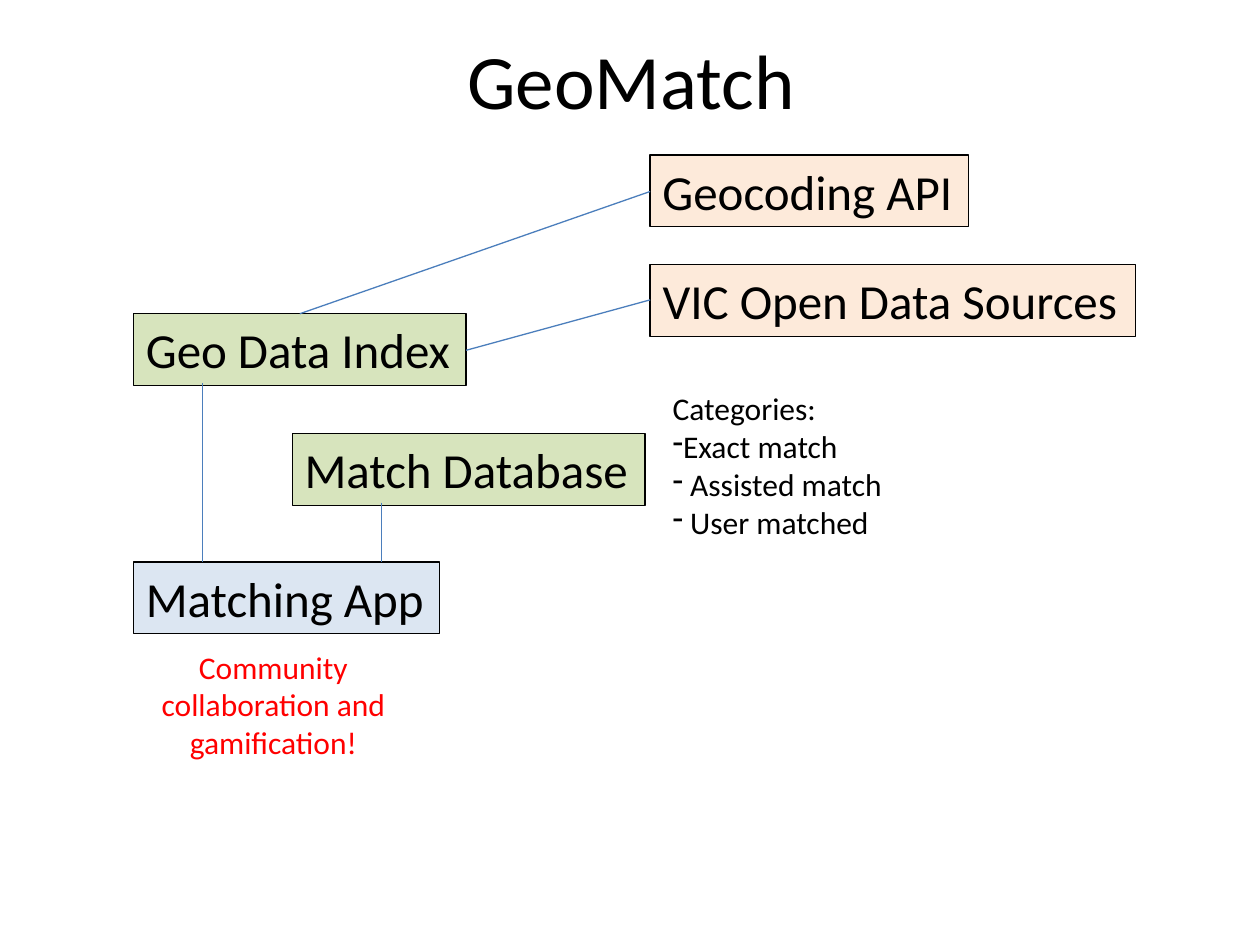
from lxml import etree
from pptx import Presentation
from pptx.dml.color import RGBColor
from pptx.enum.shapes import MSO_CONNECTOR, MSO_SHAPE
from pptx.enum.text import MSO_ANCHOR, MSO_AUTO_SIZE, PP_ALIGN
from pptx.oxml.ns import qn
from pptx.util import Inches, Pt

LEFT, CENTER = PP_ALIGN.LEFT, PP_ALIGN.CENTER
TOP, MIDDLE = MSO_ANCHOR.TOP, MSO_ANCHOR.MIDDLE
RECTANGLE = MSO_SHAPE.RECTANGLE
STRAIGHT = MSO_CONNECTOR.STRAIGHT
FIT_SHAPE = MSO_AUTO_SIZE.SHAPE_TO_FIT_TEXT

BLACK = RGBColor(0x00, 0x00, 0x00)
RED = RGBColor(0xFF, 0x00, 0x00)
BLUE = RGBColor(0x4B, 0x7E, 0xBC)
GREEN_FILL = RGBColor(0xD7, 0xE4, 0xBD)
ORANGE_FILL = RGBColor(0xFD, 0xEA, 0xDA)
BLUE_FILL = RGBColor(0xDC, 0xE6, 0xF2)


class DiagramPage:
    font = "Calibri"
    line_width = Pt(0.75)
    node_height = 0.57

    def __init__(self, page):
        self.page = page

    def style(self, para, size, color, align):
        para.alignment = align
        para.font.name = self.font
        para.font.size = Pt(size)
        para.font.color.rgb = color

    def text(self, left, top, width, height, lines, size=18,
             color=BLACK, align=LEFT, anchor=TOP):
        box = self.page.shapes.add_textbox(
            Inches(left), Inches(top), Inches(width), Inches(height))
        frame = box.text_frame
        frame.word_wrap = True
        frame.vertical_anchor = anchor
        frame.text = "\n".join(lines)
        for para in frame.paragraphs:
            self.style(para, size, color, align)
        return frame

    def dash_list(self, left, top, width, height, heading, items):
        frame = self.text(left, top, width, height, [heading, *items])
        for para in frame.paragraphs[1:]:
            properties = para._p.get_or_add_pPr()
            bullet = etree.SubElement(properties, qn("a:buChar"))
            bullet.set("char", "-")
            # The bullet must precede the default run properties.
            properties.insert(0, bullet)

    def node(self, left, top, width, label, fill):
        box = self.page.shapes.add_shape(
            RECTANGLE, Inches(left), Inches(top),
            Inches(width), Inches(self.node_height))
        box.shadow.inherit = False
        box.fill.solid()
        box.fill.fore_color.rgb = fill
        box.line.color.rgb = BLACK
        box.line.width = self.line_width
        frame = box.text_frame
        frame.word_wrap = False
        frame.auto_size = FIT_SHAPE
        frame.vertical_anchor = TOP
        frame.text = label
        self.style(frame.paragraphs[0], 28, BLACK, LEFT)

    def link(self, x1, y1, x2, y2):
        line = self.page.shapes.add_connector(
            STRAIGHT, Inches(x1), Inches(y1), Inches(x2), Inches(y2))
        line.line.color.rgb = BLUE
        line.line.width = self.line_width
        etree.SubElement(line._element.spPr, qn("a:effectLst"))


def main():
    deck = Presentation()
    deck.slide_width, deck.slide_height = Inches(10), Inches(7.5)
    diagram = DiagramPage(deck.slides.add_slide(deck.slide_layouts[6]))

    diagram.text(0.51, 0, 9, 1.25, ["GeoMatch"], 44, align=CENTER, anchor=MIDDLE)

    app_left, source_left = 1.06, 5.16
    diagram.node(app_left, 2.49, 2.64, "Geo Data Index", GREEN_FILL)
    diagram.node(source_left, 2.1, 3.85, "VIC Open Data Sources", ORANGE_FILL)
    diagram.node(source_left, 1.23, 2.53, "Geocoding API", ORANGE_FILL)
    diagram.link(source_left, 1.52, 2.38, 2.49)
    diagram.link(source_left, 2.38, 3.7, 2.78)
    diagram.node(2.32, 3.44, 2.8, "Match Database", GREEN_FILL)

    app_top = 4.46
    diagram.node(app_left, app_top, 2.43, "Matching App", BLUE_FILL)
    diagram.link(1.61, 3.04, 1.61, app_top)
    diagram.link(3.03, 3.99, 3.03, app_top)

    diagram.dash_list(5.24, 3.04, 3.78, 1.31, "Categories:",
                      ["Exact match", " Assisted match", " User matched"])
    diagram.text(0.83, 5.09, 2.68, 1.01,
                 ["Community collaboration and gamification!"],
                 color=RED, align=CENTER)

    deck.save("out.pptx")


if __name__ == "__main__":
    main()
